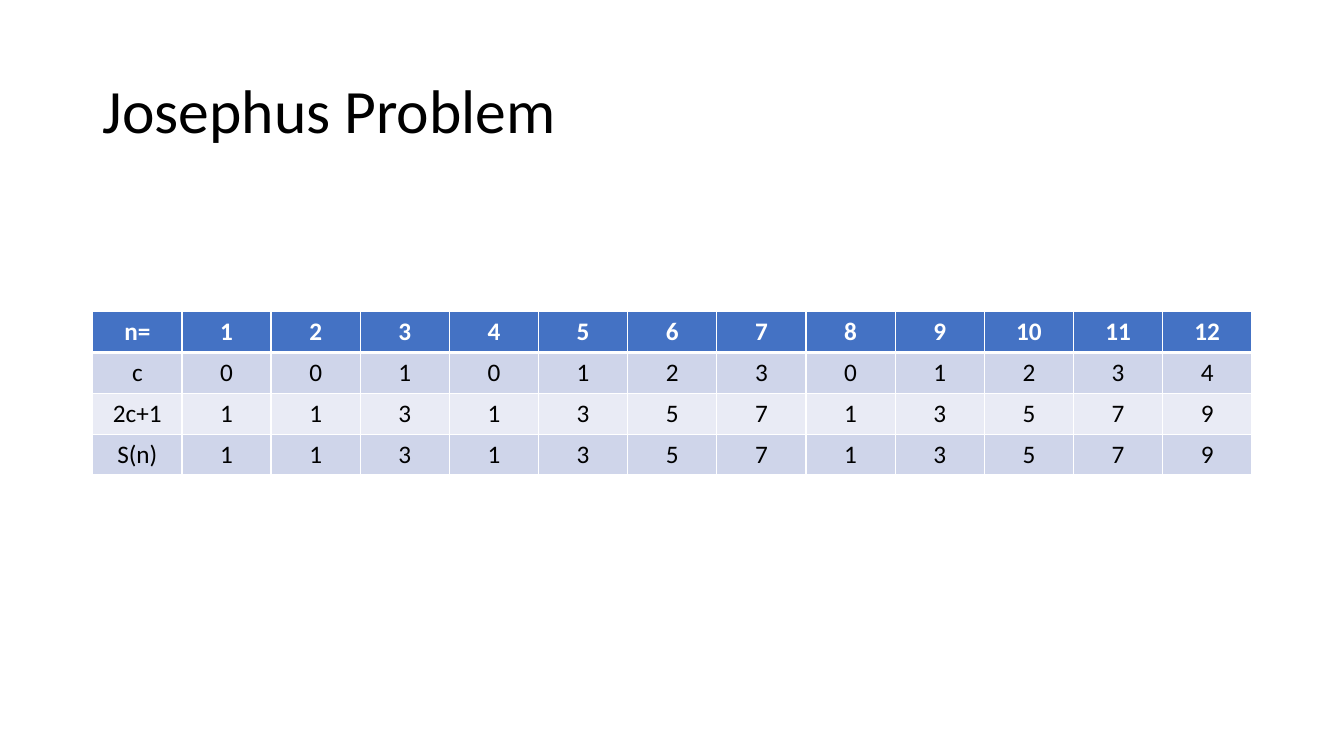
import pptx
import pptx.util
import pptx.dml.color
import pptx.enum.text
import pptx.oxml
import pptx.oxml.ns

Inches = pptx.util.Inches
RGBColor = pptx.dml.color.RGBColor
Align = pptx.enum.text.PP_ALIGN
Anchor = pptx.enum.text.MSO_ANCHOR

BLACK = RGBColor(0x00, 0x00, 0x00)
WHITE = RGBColor(0xFF, 0xFF, 0xFF)
BLUE = RGBColor(0x44, 0x72, 0xC4)
BAND_DARK = RGBColor(0xCF, 0xD5, 0xEA)
BAND_LIGHT = RGBColor(0xE9, 0xEB, 0xF5)


def write_text(frame, text, size=18, color=BLACK, bold=False, align=Align.CENTER, spacing=1.0):
    para = frame.paragraphs[0]
    para.alignment = align
    para.line_spacing = spacing
    span = para.add_run()
    span.text = text
    span.font.name = "Calibri"
    span.font.size = pptx.util.Pt(size)
    span.font.bold = bold
    span.font.color.rgb = color


def set_border(cell, side, points):
    properties = cell._tc.get_or_add_tcPr()
    properties.append(pptx.oxml.parse_xml(
        f'<a:ln{side} {pptx.oxml.ns.nsdecls("a")} w="{pptx.util.Pt(points)}">'
        f'<a:solidFill><a:srgbClr val="{WHITE}"/></a:solidFill></a:ln{side}>'))


deck = pptx.Presentation()
deck.slide_width = Inches(13.33)
deck.slide_height = Inches(7.5)
page = deck.slides.add_slide(deck.slide_layouts[5])

title = page.shapes.title
title.left, title.top = Inches(0.92), Inches(0.4)
title.width, title.height = Inches(11.5), Inches(1.45)
title.text_frame.vertical_anchor = Anchor.MIDDLE
title.text_frame.word_wrap = True
write_text(title.text_frame, "Josephus Problem", size=44, align=Align.LEFT, spacing=0.9)

numbers = list(range(1, 13))
offsets = [n - 2 ** (n.bit_length() - 1) for n in numbers]
survivors = [2 * c + 1 for c in offsets]
rows = [
    ["n=", *numbers],
    ["c", *offsets],
    ["2c+1", *survivors],
    ["S(n)", *survivors],
]
row_fills = [BLUE, BAND_DARK, BAND_LIGHT, BAND_DARK]

table = page.shapes.add_table(
    len(rows), len(rows[0]), Inches(0.92), Inches(3.09), Inches(11.5), Inches(1.62)).table

for row_index, (values, fill) in enumerate(zip(rows, row_fills)):
    is_header = row_index == 0
    for column_index, value in enumerate(values):
        cell = table.cell(row_index, column_index)
        set_border(cell, "L", 1)
        set_border(cell, "R", 1)
        set_border(cell, "T", 3 if row_index == 1 else 1)
        set_border(cell, "B", 3 if is_header else 1)
        cell.fill.solid()
        cell.fill.fore_color.rgb = fill
        write_text(cell.text_frame, str(value), color=WHITE if is_header else BLACK, bold=is_header)

deck.save("out.pptx")
